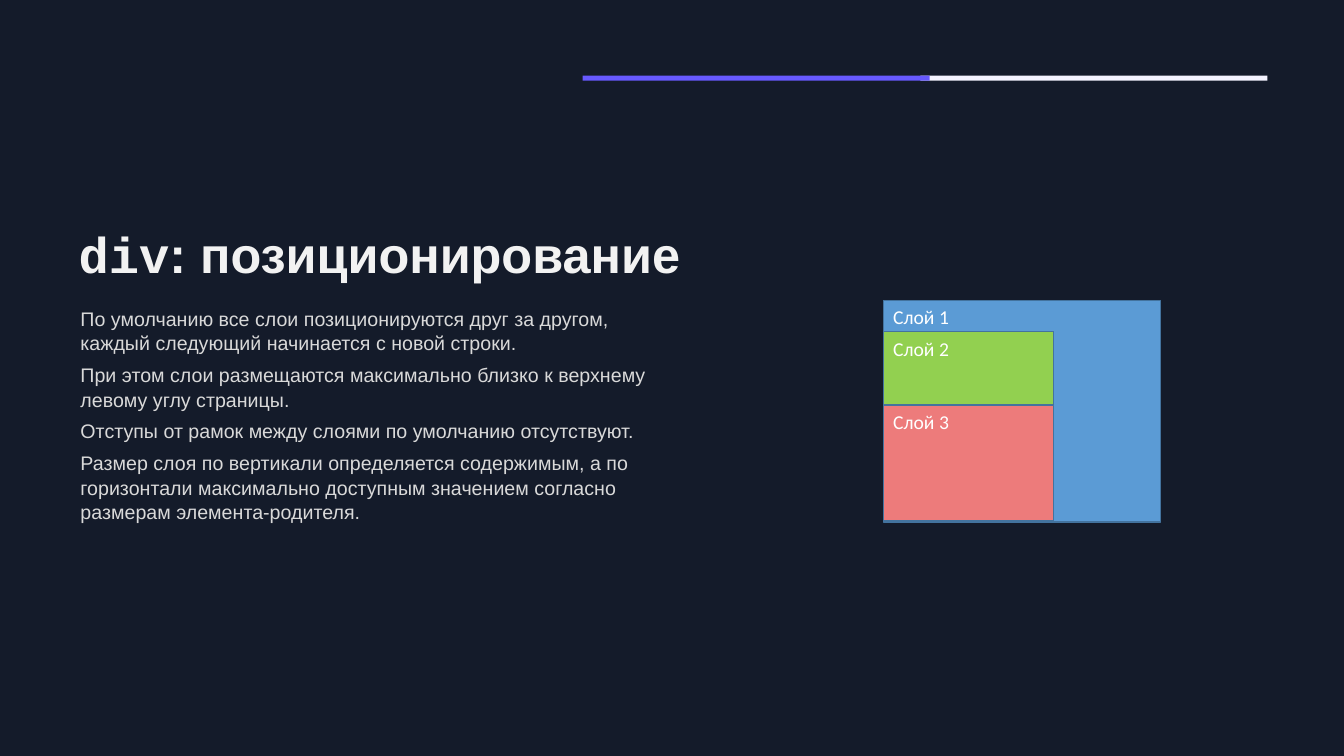
from dataclasses import dataclass
from pptx import Presentation
from pptx import util as u
from pptx.dml.color import RGBColor
from pptx.enum import shapes, text


@dataclass(frozen=True)
class Theme:
    back: str = "141B2A"
    head: str = "F2F2F2"
    body: str = "D9D9D9"
    white: str = "FFFFFF"
    pale: str = "F4F3FF"
    violet: str = "6759FE"
    blue: str = "5B9BD5"
    green: str = "92D050"
    red: str = "ED7B7B"
    edge: str = "43739E"
    sans: str = "Arial"
    mono: str = "Courier New"
    label: str = "Calibri"
    big: int = 36
    small: int = 14


T = Theme()
WIDE, HIGH = 13.33, 7.5
TOP, LEFT = 2.98, 8.76  # shared top of the content, left side of the layers

POINTS = [
    "По умолчанию все слои позиционируются друг за другом, каждый следующий начинается с новой строки.",
    "При этом слои размещаются максимально близко к верхнему левому углу страницы.",
    "Отступы от рамок между слоями по умолчанию отсутствуют.",
    "Размер слоя по вертикали определяется содержимым, а по горизонтали максимально доступным "
    "значением согласно размерам элемента-родителя.",
]


def color(code):
    return RGBColor.from_string(code)


def box(*sides):
    return [u.Inches(side) for side in sides]


def write(para, words, font=T.sans, size=T.small, ink=T.white, bold=False):
    run = para.add_run()
    run.text = words
    run.font.name, run.font.size, run.font.bold = font, u.Pt(size), bold
    run.font.color.rgb = color(ink)


def rect(parent, place, fill, edge=None):
    shape = parent.add_shape(shapes.MSO_SHAPE.RECTANGLE, *box(*place))
    shape.shadow.inherit = False
    shape.fill.solid()
    shape.fill.fore_color.rgb = color(fill)
    if edge:
        shape.line.color.rgb = color(edge)
        shape.line.width = u.Pt(1)
    else:
        shape.line.fill.background()
    return shape


def title(slide):
    head = slide.shapes.title
    head.left, head.top, head.width, head.height = box(0.68, 2.13, 11.89, 0.84)
    head.text_frame.vertical_anchor = text.MSO_ANCHOR.MIDDLE
    para = head.text_frame.paragraphs[0]
    para.alignment = text.PP_ALIGN.LEFT
    para.line_spacing = 0.9
    for words, font in (("div", T.mono), (": позиционирование", T.sans)):
        write(para, words, font, T.big, T.head, bold=True)


def points(slide):
    frame = slide.shapes.add_textbox(*box(0.6, TOP, 6.16, 2.2)).text_frame
    frame.word_wrap = True
    for num, words in enumerate(POINTS):
        para = frame.add_paragraph() if num else frame.paragraphs[0]
        para.space_before = u.Pt(5)
        para.line_spacing = 1.05
        para._p.get_or_add_pPr().set("marL", str(u.Inches(0.1)))
        write(para, words, ink=T.body)


def layers(slide):
    group = slide.shapes.add_group_shape().shapes
    rows = [(0, 2.75, 2.2, T.blue), (0.31, 1.69, 0.73, T.green), (1.04, 1.69, 1.15, T.red)]
    for num, (drop, wide, high, fill) in enumerate(rows, 1):
        layer = rect(group, (LEFT, TOP + drop, wide, high), fill, T.edge)
        layer.text_frame.vertical_anchor = text.MSO_ANCHOR.TOP
        para = layer.text_frame.paragraphs[0]
        para.alignment = text.PP_ALIGN.LEFT
        write(para, f"Слой {num}", T.label)


def main():
    deck = Presentation()
    deck.slide_width, deck.slide_height = box(WIDE, HIGH)
    slide = deck.slides.add_slide(deck.slide_layouts[5])
    slide.background.fill.solid()
    slide.background.fill.fore_color.rgb = color(T.back)

    # Heading and the two-tone rule above it
    title(slide)
    for left, fill in ((9.13, T.pale), (5.78, T.violet)):
        rect(slide.shapes, (left, HIGH / 10, 3.44, 0.05), fill)

    # Explanation on the left, nested layers on the right
    points(slide)
    layers(slide)
    deck.save("out.pptx")


if __name__ == "__main__":
    main()
